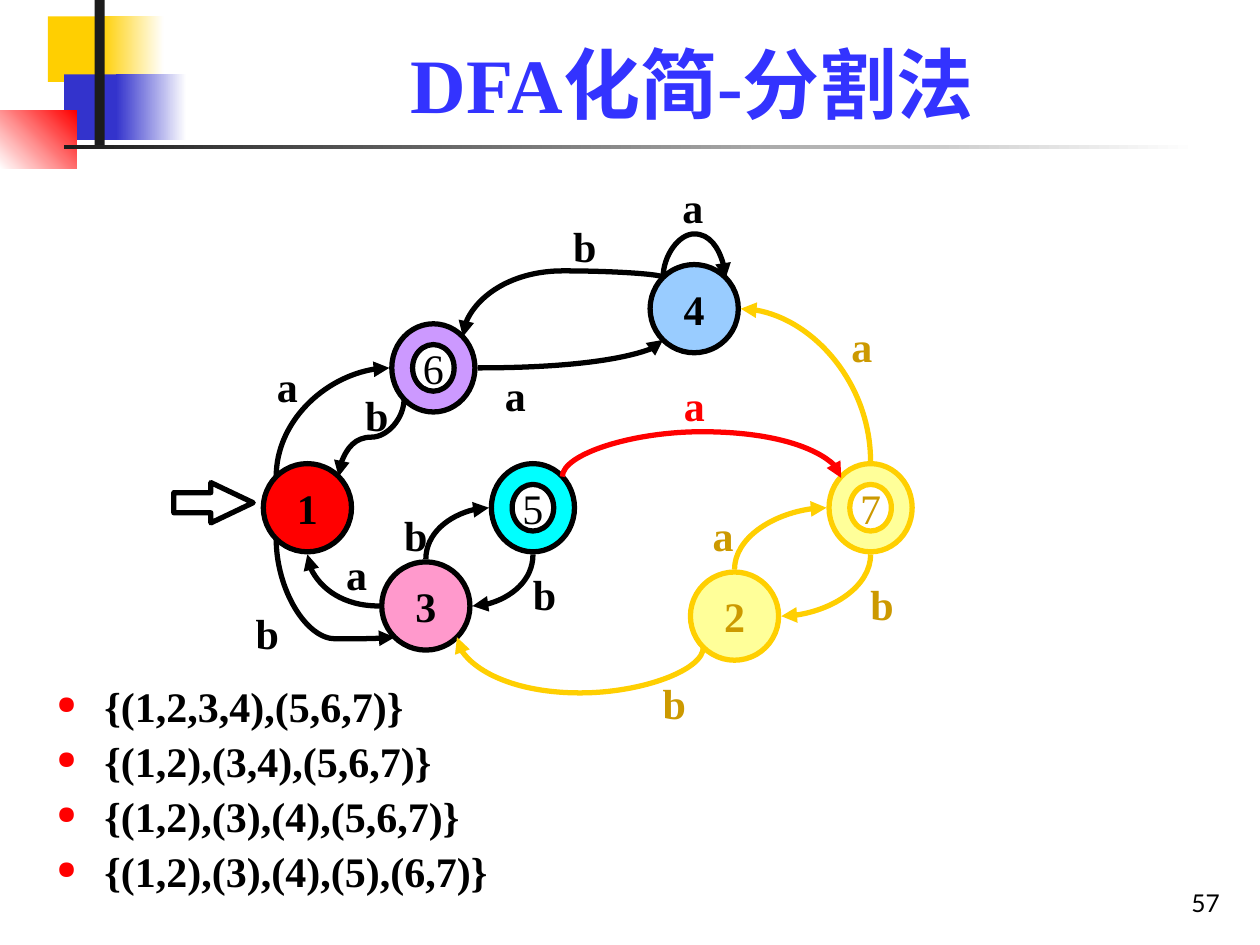
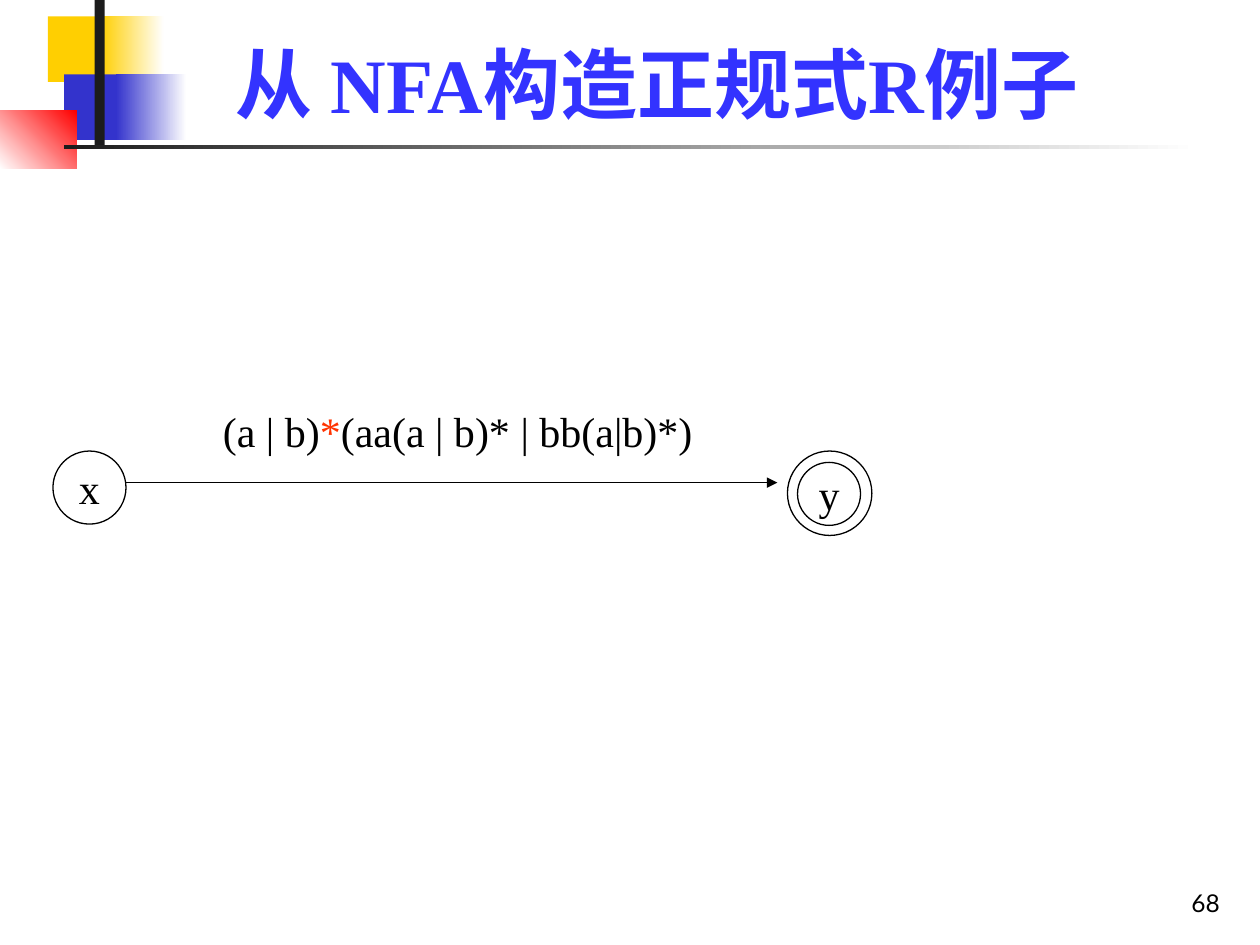
import math

import pptx
import pptx.dml.color
import pptx.enum.shapes
import pptx.enum.text
import pptx.oxml.ns
import pptx.util
from lxml import etree

Inches = pptx.util.Inches
Pt = pptx.util.Pt
RGBColor = pptx.dml.color.RGBColor
SHAPE = pptx.enum.shapes.MSO_SHAPE
CONNECTOR = pptx.enum.shapes.MSO_CONNECTOR
ALIGN = pptx.enum.text.PP_ALIGN
ANCHOR = pptx.enum.text.MSO_ANCHOR
qn = pptx.oxml.ns.qn

BLACK = RGBColor(0x00, 0x00, 0x00)
WHITE = RGBColor(0xFF, 0xFF, 0xFF)
CHARCOAL = RGBColor(0x1C, 0x1C, 0x1C)
GOLD = RGBColor(0xFF, 0xCF, 0x01)
DARK_GOLD = RGBColor(0xCC, 0x99, 0x00)
PALE_YELLOW = RGBColor(0xFF, 0xFF, 0x99)
INDIGO = RGBColor(0x33, 0x33, 0xCC)
TITLE_BLUE = RGBColor(0x33, 0x33, 0xFF)
RED = RGBColor(0xFF, 0x00, 0x00)
ORANGE_RED = RGBColor(0xFF, 0x33, 0x00)
CYAN = RGBColor(0x00, 0xFF, 0xFF)
PINK = RGBColor(0xFF, 0x99, 0xCC)
LILAC = RGBColor(0xCC, 0x99, 0xFF)
SKY = RGBColor(0x99, 0xCC, 0xFF)

SERIF = "Times New Roman"
NUMBER_FONT = "Lato"

STATE_RADIUS = 0.35
FINAL_STATE_RADIUS = 0.33
ANCHOR_GAP = 0.02
COMPASS = ("e", "se", "s", "sw", "w", "nw", "n", "ne")

# name: centre x, centre y, fill, line, text colour, is final
STATES = {
    "1": (1.44, 3.03, RED, BLACK, BLACK, False),
    "6": (2.44, 1.92, LILAC, BLACK, BLACK, True),
    "3": (2.38, 3.81, PINK, BLACK, BLACK, False),
    "5": (3.23, 3.03, CYAN, BLACK, BLACK, True),
    "2": (4.83, 3.89, PALE_YELLOW, GOLD, DARK_GOLD, False),
    "7": (5.91, 3.03, PALE_YELLOW, GOLD, DARK_GOLD, True),
    "4": (4.51, 1.45, SKY, BLACK, BLACK, False),
}

# from, side, to, side, height of the bend (None for a quarter curve), colour
TRANSITIONS = [
    ("1", "nw", "6", "w", None, BLACK),
    ("6", "sw", "1", "ne", 2.47, BLACK),
    ("1", "sw", "3", "sw", 4.07, BLACK),
    ("3", "w", "1", "s", None, BLACK),
    ("3", "n", "5", "w", None, BLACK),
    ("5", "s", "3", "e", None, BLACK),
    ("2", "sw", "3", "se", 4.5, GOLD),
    ("5", "ne", "7", "nw", 2.42, RED),
    ("2", "n", "7", "w", None, GOLD),
    ("7", "s", "2", "e", None, GOLD),
    ("6", "e", "4", "sw", None, BLACK),
    ("4", "nw", "6", "ne", 1.15, BLACK),
    ("4", "nw", "4", "ne", 0.85, BLACK),
    ("7", "n", "4", "e", None, GOLD),
]

# text, left, top, colour
INPUT_LABELS = [
    ("b", 1.8, 2.04, BLACK), ("a", 1.09, 1.81, BLACK),
    ("a", 1.64, 3.3, BLACK), ("b", 0.93, 3.77, BLACK),
    ("b", 2.11, 2.99, BLACK), ("b", 3.13, 3.46, BLACK),
    ("b", 4.16, 4.33, DARK_GOLD), ("a", 4.32, 1.96, RED),
    ("a", 4.55, 2.99, DARK_GOLD), ("b", 5.81, 3.54, DARK_GOLD),
    ("a", 2.9, 1.88, BLACK), ("b", 3.45, 0.7, BLACK),
    ("a", 4.31, 0.39, BLACK), ("a", 5.65, 1.49, DARK_GOLD),
]

PARTITIONS = [
    "{(1,2,3,4),(5,6,7)}",
    "{(1,2),(3,4),(5,6,7)}",
    "{(1,2),(3),(4),(5,6,7)}",
    "{(1,2),(3),(4),(5),(6,7)}",
]


def set_font(target, size=24, color=BLACK, bold=False, name=SERIF):
    target.font.name = name
    target.font.size = Pt(size)
    target.font.bold = bold
    target.font.color.rgb = color


def add_figure(slide, kind, left, top, width, height, fill=None, line=None, line_width=3):
    shape = slide.shapes.add_shape(
        kind, Inches(left), Inches(top), Inches(width), Inches(height))
    shape.shadow.inherit = False
    if fill is None:
        shape.fill.background()
    else:
        shape.fill.solid()
        shape.fill.fore_color.rgb = fill
    if line is None:
        shape.line.fill.background()
    else:
        shape.line.color.rgb = line
        shape.line.width = Pt(line_width)
    return shape


def add_gradient_bar(slide, box, start, end, angle=0):
    bar = add_figure(slide, SHAPE.RECTANGLE, *box)
    bar.fill.gradient()
    bar.fill.gradient_angle = angle
    for stop, color in zip(bar.fill.gradient_stops, (start, end)):
        stop.color.rgb = color


def write_centred(shape, text, **font):
    frame = shape.text_frame
    frame.word_wrap = False
    frame.vertical_anchor = ANCHOR.MIDDLE
    paragraph = frame.paragraphs[0]
    paragraph.text = text
    paragraph.alignment = ALIGN.CENTER
    set_font(paragraph, **font)


def add_text_box(slide, left, top, width, height):
    return slide.shapes.add_textbox(
        Inches(left), Inches(top), Inches(width), Inches(height))


def finish_arrow(connector, color, width):
    """Colour the line, give it an arrowhead and drop its shadow."""
    connector.line.color.rgb = color
    connector.line.width = Pt(width)
    properties = connector.element.spPr
    etree.SubElement(properties.find(qn("a:ln")), qn("a:tailEnd"), type="triangle")
    etree.SubElement(properties, qn("a:effectLst"))


def add_curve(slide, start, end, bend, starts_level, color):
    """Curved arrow; one that starts upright is a level one turned by 90 degrees."""
    (x1, y1), (x2, y2) = start, end
    if starts_level:
        corners = x1, y1, x2, y2
    else:
        middle_x, middle_y = (x1 + x2) / 2, (y1 + y2) / 2
        half_x, half_y = (x2 - x1) / 2, (y2 - y1) / 2
        corners = (middle_x - half_y, middle_y + half_x,
                   middle_x + half_y, middle_y - half_x)
    connector = slide.shapes.add_connector(CONNECTOR.CURVE, *map(Inches, corners))
    properties = connector.element.spPr
    if not starts_level:
        properties.find(qn("a:xfrm")).set("rot", "5400000")
    geometry = properties.find(qn("a:prstGeom"))
    if bend is None:
        geometry.set("prst", "curvedConnector2")
    else:
        ratio = round((bend - y1) / (y2 - y1) * 100000)
        etree.SubElement(geometry.find(qn("a:avLst")), qn("a:gd"),
                         name="adj1", fmla=f"val {ratio}")
    finish_arrow(connector, color, 3)


def state_radii(is_final):
    return (FINAL_STATE_RADIUS if is_final else STATE_RADIUS), STATE_RADIUS


def anchor_point(name, side):
    """Point on a state's rim, just outside it on the four main sides."""
    x, y, *_, is_final = STATES[name]
    radius_x, radius_y = state_radii(is_final)
    gap = ANCHOR_GAP if len(side) == 1 else 0
    angle = math.radians(45 * COMPASS.index(side))
    return (x + (radius_x + gap) * math.cos(angle),
            y + (radius_y + gap) * math.sin(angle))


def add_automaton(slide, left, top):
    entry = add_figure(slide, SHAPE.RIGHT_ARROW, left + 0.38, top + 2.83, 0.63, 0.32,
                       line=BLACK)
    entry.adjustments[0] = 0.5
    entry.adjustments[1] = 1.05

    for name, (x, y, fill, line, color, is_final) in STATES.items():
        radius_x, radius_y = state_radii(is_final)
        kind = SHAPE.DONUT if is_final else SHAPE.OVAL
        state = add_figure(slide, kind, left + x - radius_x, top + y - radius_y,
                           2 * radius_x, 2 * radius_y, fill, line)
        write_centred(state, name, color=color, bold=not is_final)

    for source, source_side, target, target_side, bend, color in TRANSITIONS:
        x1, y1 = anchor_point(source, source_side)
        x2, y2 = anchor_point(target, target_side)
        if math.isclose(y1, y2):
            y2 += 0.01  # the bend is a share of the height, which must not be zero
        add_curve(slide, (left + x1, top + y1), (left + x2, top + y2),
                  None if bend is None else top + bend,
                  source_side in ("e", "w"), color)

    for text, x, y, color in INPUT_LABELS:
        label = add_text_box(slide, left + x, top + y, 0.38, 0.5)
        write_centred(label, text, color=color, bold=True)


def add_bullet(paragraph):
    properties = paragraph._p.get_or_add_pPr()
    properties.set("marL", str(Inches(0.38)))
    properties.set("indent", str(-Inches(0.38)))
    color = etree.SubElement(properties, qn("a:buClr"))
    etree.SubElement(color, qn("a:srgbClr"), val=str(RED))
    etree.SubElement(properties, qn("a:buSzPct"), val="60000")
    etree.SubElement(properties, qn("a:buChar"), char="●")


def add_partitions(slide, left, top, width, height):
    frame = add_text_box(slide, left, top, width, height).text_frame
    frame.word_wrap = True
    for index, partition in enumerate(PARTITIONS):
        paragraph = frame.add_paragraph() if index else frame.paragraphs[0]
        paragraph.text = partition
        add_bullet(paragraph)
        paragraph.line_spacing = 0.9
        if index:
            paragraph.space_before = Pt(5.5)
        set_font(paragraph, bold=True)


def add_expression_graph(slide, left, top):
    """Start state x, end state y and the regular expression between them."""
    arrow = slide.shapes.add_connector(
        CONNECTOR.STRAIGHT, Inches(left + 0.58), Inches(top + 0.66),
        Inches(left + 5.75), Inches(top + 0.66))
    finish_arrow(arrow, BLACK, 0.75)

    frame = add_text_box(slide, left + 1.25, top, 4.08, 0.5).text_frame
    frame.word_wrap = True
    paragraph = frame.paragraphs[0]
    paragraph.alignment = ALIGN.JUSTIFY
    for text, color in (("(a | b)", BLACK), ("*", ORANGE_RED),
                        ("(aa(a | b)* | bb(a|b)*)", BLACK)):
        run = paragraph.add_run()
        run.text = text
        set_font(run, color=color)

    for name, x, y, size in (("", 5.83, 0.41, 0.67), ("y", 5.91, 0.5, 0.5),
                             ("x", 0, 0.41, 0.58)):
        circle = add_figure(slide, SHAPE.OVAL, left + x, top + y, size, size,
                            line=BLACK, line_width=0.75)
        if name:
            write_centred(circle, name)


def add_base_slide(presentation, title_text, title_width, number):
    """Slide with the corner blocks, the rule, the title and the page number."""
    slide = presentation.slides.add_slide(presentation.slide_layouts[5])
    add_figure(slide, SHAPE.RECTANGLE, 0.38, 0.13, 0.67, 0.52, GOLD)
    add_gradient_bar(slide, (0.8, 0.13, 0.5, 0.52), GOLD, WHITE)
    add_figure(slide, SHAPE.RECTANGLE, 0.51, 0.59, 0.64, 0.52, INDIGO)
    add_gradient_bar(slide, (0.92, 0.59, 0.56, 0.52), INDIGO, WHITE)
    add_gradient_bar(slide, (0, 0.88, 0.61, 0.46), WHITE, RED, angle=45)
    add_figure(slide, SHAPE.RECTANGLE, 0.75, 0, 0.08, 1.15, CHARCOAL)
    add_gradient_bar(slide, (0.51, 1.15, 9, 0.03), CHARCOAL, WHITE)

    title = slide.shapes.title
    title.left, title.top = Inches(1.26), Inches(0.23)
    title.width, title.height = Inches(title_width), Inches(0.84)
    number_box = add_text_box(slide, 7.7, 6.83, 2.08, 0.5)
    for shape, text, alignment, font in (
            (title, title_text, ALIGN.CENTER,
             {"size": 44, "color": TITLE_BLUE, "bold": True}),
            (number_box, number, ALIGN.RIGHT, {"size": 14, "name": NUMBER_FONT})):
        frame = shape.text_frame
        frame.auto_size = pptx.enum.text.MSO_AUTO_SIZE.NONE
        frame.word_wrap = True
        frame.vertical_anchor = ANCHOR.BOTTOM
        paragraph = frame.paragraphs[0]
        paragraph.text = text
        paragraph.alignment = alignment
        set_font(paragraph, **font)
    return slide


def main():
    presentation = pptx.Presentation()
    presentation.slide_width = Inches(10)
    presentation.slide_height = Inches(7.5)

    slide = add_base_slide(presentation, "DFA化简-分割法", 8.47, "57")
    add_automaton(slide, 1, 1)
    add_partitions(slide, 0.35, 5.4, 9.21, 1.89)

    slide = add_base_slide(presentation, "从 NFA构造正规式R例子", 7.91, "68")
    add_expression_graph(slide, 0.42, 3.17)

    presentation.save("out.pptx")


if __name__ == "__main__":
    main()
